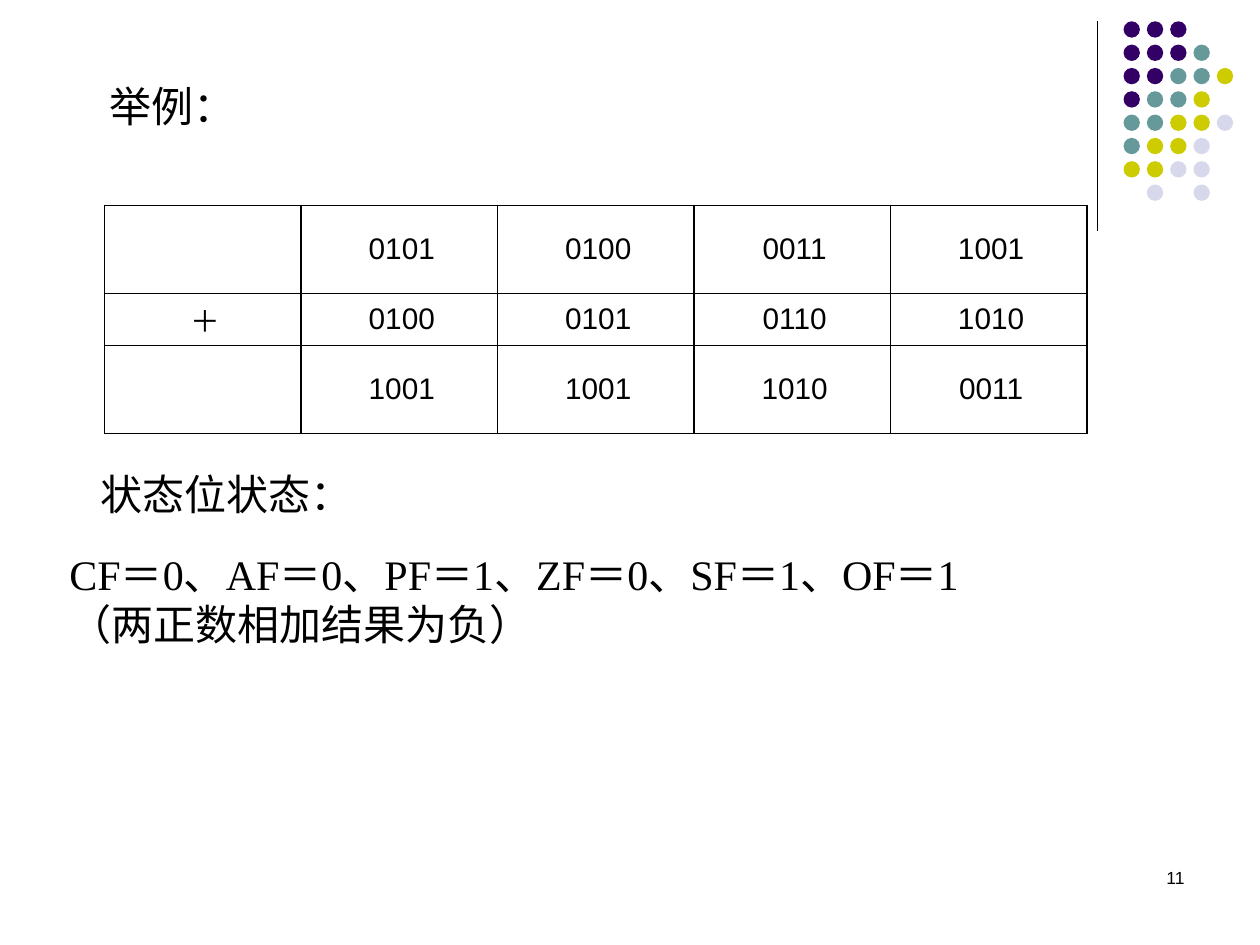
from dataclasses import dataclass

from lxml import etree
from pptx import Presentation
from pptx.dml.color import RGBColor
from pptx.enum.shapes import MSO_CONNECTOR, MSO_SHAPE
from pptx.enum.text import MSO_ANCHOR, MSO_AUTO_SIZE, PP_ALIGN
from pptx.oxml import parse_xml
from pptx.oxml.ns import nsdecls, qn
from pptx.util import Cm, Pt

LEFT, CENTER, RIGHT = PP_ALIGN.LEFT, PP_ALIGN.CENTER, PP_ALIGN.RIGHT
TOP, MIDDLE = MSO_ANCHOR.TOP, MSO_ANCHOR.MIDDLE
GROW, FIXED = MSO_AUTO_SIZE.SHAPE_TO_FIT_TEXT, MSO_AUTO_SIZE.NONE
STRAIGHT, OVAL = MSO_CONNECTOR.STRAIGHT, MSO_SHAPE.OVAL


@dataclass(frozen=True)
class Theme:
    ink: str = "000000"
    violet: str = "330066"
    teal: str = "669999"
    lime: str = "CCCC00"
    lilac: str = "D8D8EC"
    serif: str = "Times New Roman"
    sans: str = "Arial"
    body: int = 24
    cell: int = 17
    number: int = 10
    rule: float = 0.75
    border: float = 1


THEME = Theme()
DOT_COLORS = {"V": THEME.violet, "T": THEME.teal, "Y": THEME.lime, "L": THEME.lilac}
DOT_ROWS = ["VVV", "VVVT", "VVTTY", "VTTY", "TTYYL", "TYYL", "YYLL", " L L"]
SUM_ROWS = [
    ["", "0101", "0100", "0011", "1001"],
    ["＋", "0100", "0101", "0110", "1010"],
    ["", "1001", "1001", "1010", "0011"],
]
ROW_HEIGHTS = [1.78, 1.04, 1.78]


def set_format(target, values):
    for name, value in values.items():
        setattr(target, name, value)


def write(p, text, font, size, align):
    p.alignment = align
    r = p.add_run()
    r.text = text
    set_format(r.font, {"name": font, "size": Pt(size)})
    r.font.color.rgb = RGBColor.from_string(THEME.ink)


def add_text(s, box, lines, font=THEME.serif, size=THEME.body, align=LEFT,
             anchor=TOP, wrap=False, grow=GROW, side=(0.1, 0)):
    tf = s.shapes.add_textbox(*map(Cm, box)).text_frame
    set_format(tf, {
        "word_wrap": wrap, "auto_size": grow, "vertical_anchor": anchor,
        "margin_left": Cm(side[0]), "margin_right": Cm(side[1]),
        "margin_top": Cm(0.13), "margin_bottom": Cm(0.13),
    })
    for i, line in enumerate(lines):
        p = tf.add_paragraph() if i else tf.paragraphs[0]
        write(p, line, font, size, align)


def add_corner(s, box):
    x, y, width, height = box
    rule = s.shapes.add_connector(STRAIGHT, Cm(x), Cm(y), Cm(x), Cm(y + height))
    rule.line.width = Pt(THEME.rule)
    rule.line.color.rgb = RGBColor.from_string(THEME.ink)
    etree.SubElement(rule._element.spPr, qn("a:effectLst"))
    pitch, size = 0.47, 0.33
    left = x + width - 4 * pitch - size
    for row, codes in enumerate(DOT_ROWS):
        for col, code in enumerate(codes):
            if code not in DOT_COLORS:
                continue
            dot = s.shapes.add_shape(OVAL, Cm(left + col * pitch), Cm(y + row * pitch),
                                     Cm(size), Cm(size))
            dot.shadow.inherit = False
            dot.fill.solid()
            dot.fill.fore_color.rgb = RGBColor.from_string(DOT_COLORS[code])
            dot.line.fill.background()


def add_borders(cell):
    tcPr = cell._tc.get_or_add_tcPr()
    for i, edge in enumerate(("lnL", "lnR", "lnT", "lnB")):
        tcPr.insert(i, parse_xml(
            f'<a:{edge} {nsdecls("a")} w="{Pt(THEME.border)}"><a:solidFill>'
            f'<a:srgbClr val="{THEME.ink}"/></a:solidFill></a:{edge}>'))


def add_sum_table(s, box):
    table = s.shapes.add_table(len(SUM_ROWS), len(SUM_ROWS[0]), *map(Cm, box)).table
    set_format(table, {"first_row": False, "horz_banding": False})
    for column in table.columns:
        column.width = Cm(box[2] / len(SUM_ROWS[0]))
    for i, values in enumerate(SUM_ROWS):
        table.rows[i].height = Cm(ROW_HEIGHTS[i])
        for j, text in enumerate(values):
            cell = table.cell(i, j)
            set_format(cell, {
                "vertical_anchor": MIDDLE, "margin_left": Cm(0.1), "margin_right": 0,
                "margin_top": 0, "margin_bottom": 0,
            })
            cell.fill.background()
            add_borders(cell)
            if text:
                write(cell.text_frame.paragraphs[0], text, THEME.sans, THEME.cell, CENTER)


def add_status(s, box):
    x, y, width, height = box
    add_text(s, (x + 0.63, y, 5.18, 1.27), ["状态位状态："])
    add_text(s, (x, y + 1.1, width, height - 1.1),
             ["CF＝0、AF＝0、PF＝1、ZF＝0、SF＝1、OF＝1", "（两正数相加结果为负）"],
             anchor=MIDDLE, wrap=True)


def main():
    prs = Presentation()
    set_format(prs, {"slide_width": Cm(25.4), "slide_height": Cm(19.05)})
    s = prs.slides.add_slide(prs.slide_layouts[6])
    add_corner(s, (22.12, 0.43, 2.74, 4.22))
    add_text(s, (2.11, 1.5, 2.82, 1.27), ["举例："], anchor=MIDDLE)
    add_sum_table(s, (2.11, 4.14, 19.8, sum(ROW_HEIGHTS)))
    add_status(s, (1.3, 9.32, 20.6, 4.4))
    add_text(s, (18.21, 17.35, 5.92, 1.27), ["11"], THEME.sans, THEME.number, RIGHT,
             wrap=True, grow=FIXED, side=(0.25, 0.25))
    prs.save("out.pptx")


if __name__ == "__main__":
    main()
